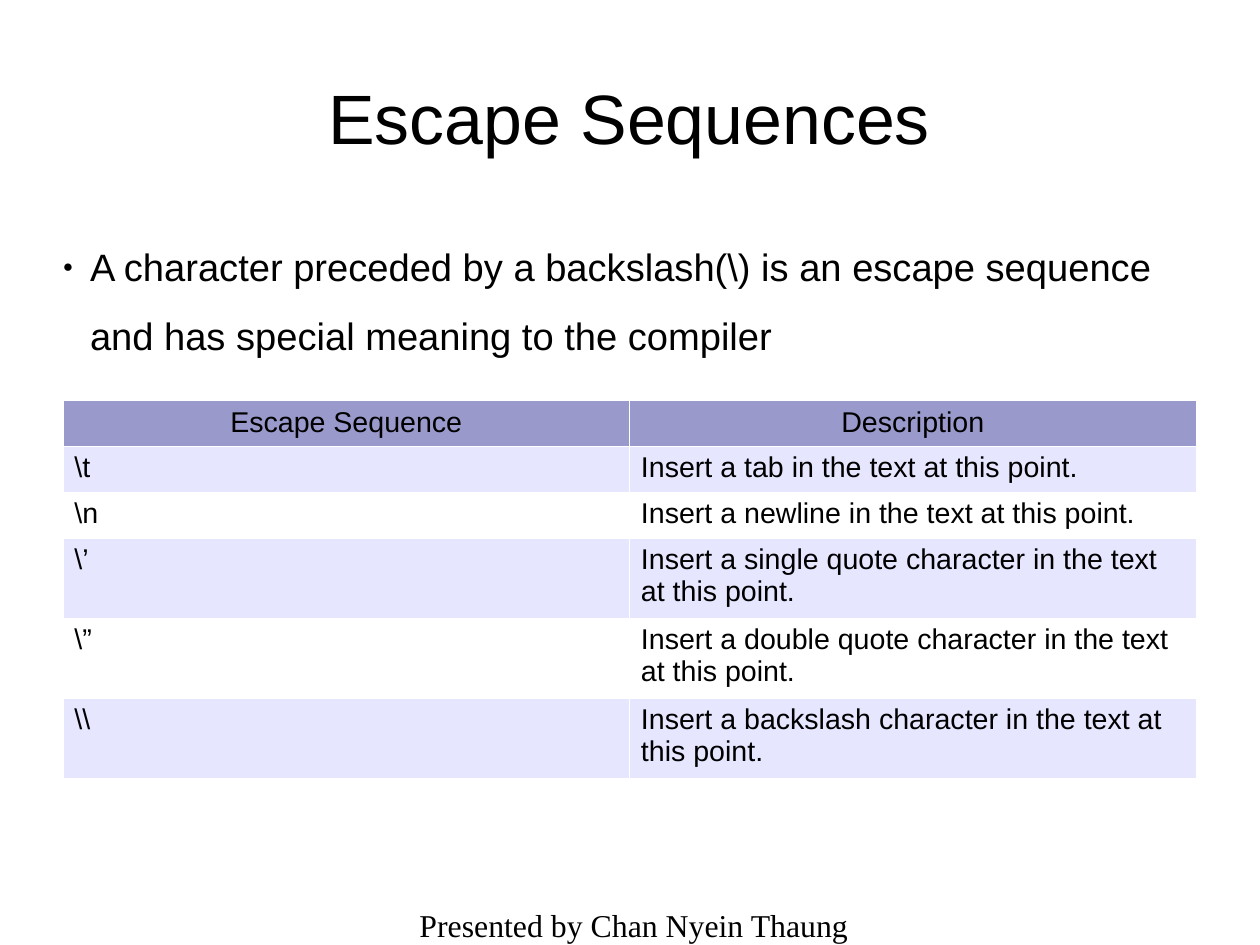
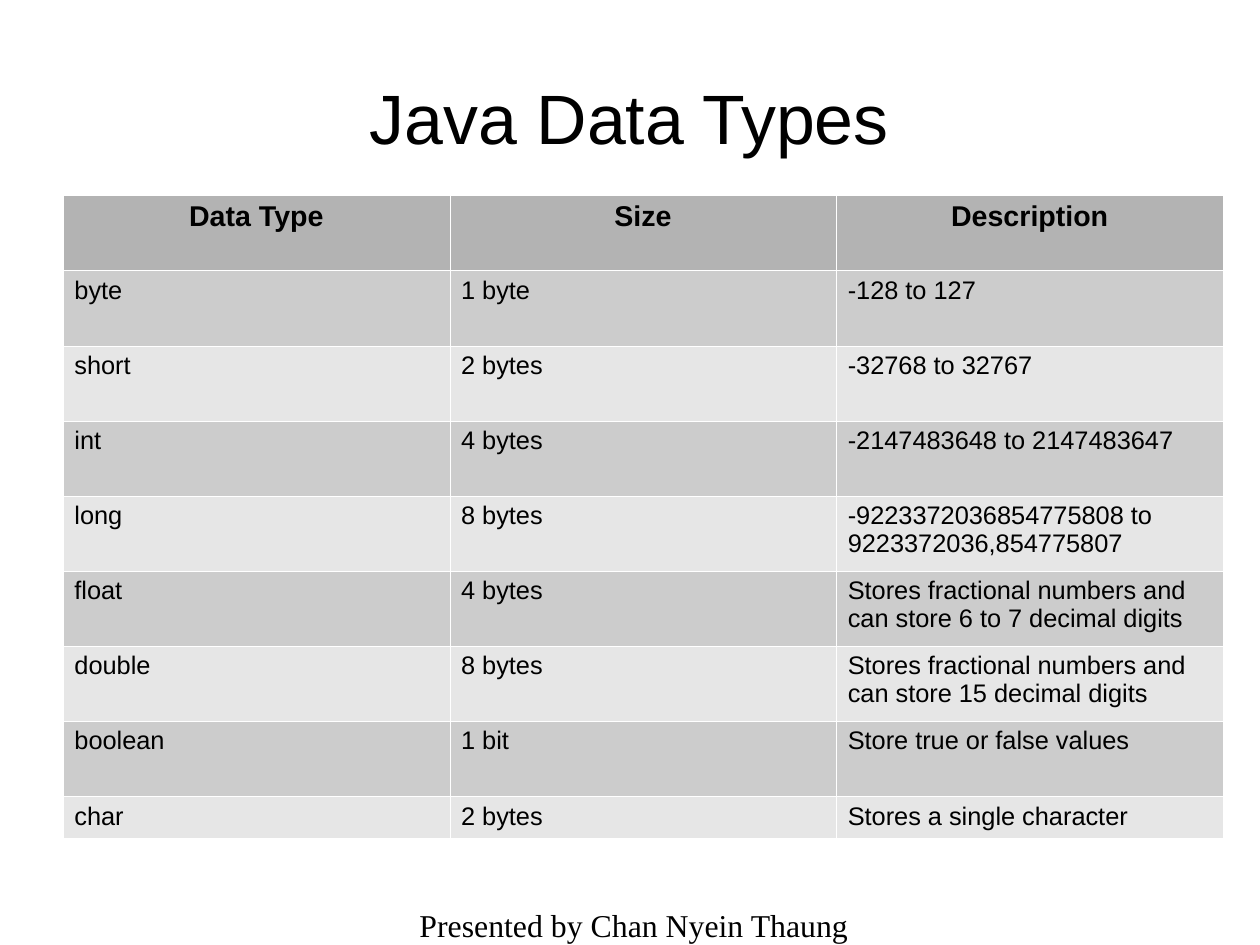
from lxml import etree
from pptx import Presentation
from pptx.dml.color import RGBColor
from pptx.enum.text import MSO_ANCHOR, MSO_AUTO_SIZE, PP_ALIGN
from pptx.oxml.ns import qn
from pptx.util import Cm, Pt

CENTER, LEFT = PP_ALIGN.CENTER, PP_ALIGN.LEFT
MIDDLE, TOP = MSO_ANCHOR.MIDDLE, MSO_ANCHOR.TOP
NO_AUTOFIT = MSO_AUTO_SIZE.NONE

BLACK = RGBColor(0x00, 0x00, 0x00)
WHITE = RGBColor(0xFF, 0xFF, 0xFF)
VIOLET = RGBColor(0x99, 0x99, 0xCC)
LAVENDER = RGBColor(0xE6, 0xE6, 0xFF)
DARK_GREY = RGBColor(0xB3, 0xB3, 0xB3)
MID_GREY = RGBColor(0xCC, 0xCC, 0xCC)
LIGHT_GREY = RGBColor(0xE6, 0xE6, 0xE6)

FONT, FOOTER_FONT = "Arial", "Times New Roman"
FOOTER = " Presented by Chan Nyein Thaung"
PAGE_W, PAGE_H = 28, 21
MARGIN, CONTENT_W = 1.4, 25.18
TITLE_AND_BODY, TITLE_ONLY = 1, 5

ESCAPES = [
    ("Escape Sequence", "Description"),
    ("\\t", "Insert a tab in the text at this point."),
    ("\\n", "Insert a newline in the text at this point."),
    ("\\’", "Insert a single quote character in the text at this point."),
    ("\\”", "Insert a double quote character in the text at this point."),
    ("\\\\", "Insert a backslash character in the text at this point."),
]
DATA_TYPES = [
    ("Data Type", "Size", "Description"),
    ("byte", "1 byte", "-128 to 127"),
    ("short", "2 bytes", "-32768 to 32767"),
    ("int", "4 bytes", "-2147483648 to 2147483647"),
    ("long", "8 bytes", "-9223372036854775808 to 9223372036,854775807"),
    ("float", "4 bytes",
     "Stores fractional numbers and can store 6 to 7 decimal digits"),
    ("double", "8 bytes",
     "Stores fractional numbers and can store 15 decimal digits"),
    ("boolean", "1 bit", "Store true or false values"),
    ("char", "2 bytes", "Stores a single character"),
]


class Deck:
    """Holds the shared style and the slide being built."""

    def __init__(self):
        self.prs = Presentation()
        self.prs.slide_width, self.prs.slide_height = Cm(PAGE_W), Cm(PAGE_H)
        self.slide = None

    def new_slide(self, layout, title):
        """Start a slide with its title and footer."""
        self.slide = self.prs.slides.add_slide(self.prs.slide_layouts[layout])
        heading = self.slide.shapes.title
        self.place(heading, 0.85, 3.48, MIDDLE)
        heading.text_frame.text = title
        self.style(heading.text_frame.paragraphs[0], 44, CENTER)
        self.footer()

    def place(self, placeholder, top, height, anchor):
        """Move a placeholder to the content column and drop its insets."""
        placeholder.left, placeholder.top = Cm(MARGIN), Cm(top)
        placeholder.width, placeholder.height = Cm(CONTENT_W), Cm(height)
        frame = placeholder.text_frame
        frame.margin_left = frame.margin_right = 0
        frame.margin_top = frame.margin_bottom = 0
        frame.vertical_anchor = anchor
        frame.word_wrap = True
        frame.auto_size = NO_AUTOFIT

    def style(self, paragraph, size, align=LEFT, font=FONT, bold=False):
        paragraph.alignment = align
        for run in paragraph.runs:
            run.font.name, run.font.size = font, Pt(size)
            run.font.bold = bold
            run.font.color.rgb = BLACK

    def footer(self):
        height = 1
        box = self.slide.shapes.add_textbox(
            0, Cm(PAGE_H - height), Cm(PAGE_W), Cm(height))
        box.text_frame.word_wrap = True
        box.text_frame.text = FOOTER
        self.style(box.text_frame.paragraphs[0], 20, CENTER, FOOTER_FONT)

    def bullet(self, text):
        """Fill the body placeholder with one bulleted paragraph."""
        body = self.slide.placeholders[1]
        self.place(body, 4.9, 12.17, TOP)
        body.text_frame.text = text
        paragraph = body.text_frame.paragraphs[0]
        self.style(paragraph, 24)
        paragraph.line_spacing = 1.5
        paragraph.space_before = paragraph.space_after = Pt(5.7)
        props = paragraph.runs[0].font and paragraph._p.get_or_add_pPr()
        props.set("marL", str(Cm(0.6)))
        props.set("indent", str(-Cm(0.6)))
        color = etree.SubElement(props, qn("a:buClr"))
        etree.SubElement(color, qn("a:srgbClr"), val=str(BLACK))
        etree.SubElement(props, qn("a:buSzPct"), val="45000")
        etree.SubElement(props, qn("a:buFont"), typeface=FONT)
        etree.SubElement(props, qn("a:buChar"), char="●")

    def border(self, cell):
        """Draw thin white rules on all sides; call before filling the cell."""
        props = cell._tc.get_or_add_tcPr()
        for side in ("a:lnL", "a:lnR", "a:lnT", "a:lnB"):
            line = etree.SubElement(props, qn(side), w=str(Pt(0.06)))
            fill = etree.SubElement(line, qn("a:solidFill"))
            etree.SubElement(fill, qn("a:srgbClr"), val=str(WHITE))

    def table(self, rows, top, width, heights, header_fill, bands,
              size, header_bold):
        """Add a table with a header row and two alternating row fills."""
        columns = len(rows[0])
        table = self.slide.shapes.add_table(
            len(rows), columns, Cm(MARGIN), Cm(top),
            Cm(width), Cm(sum(heights))).table
        table.first_row = table.horz_banding = False
        for column in table.columns:
            column.width = Cm(width / columns)
        for r, (values, height) in enumerate(zip(rows, heights)):
            header = r == 0
            table.rows[r].height = Cm(height)
            for c, value in enumerate(values):
                cell = table.cell(r, c)
                self.border(cell)
                cell.fill.solid()
                cell.fill.fore_color.rgb = (
                    header_fill if header else bands[(r - 1) % 2])
                cell.text_frame.text = value
                self.style(cell.text_frame.paragraphs[0],
                           18 if header else size,
                           CENTER if header else LEFT,
                           bold=header and header_bold)


def main():
    deck = Deck()

    # Escape sequences
    deck.new_slide(TITLE_AND_BODY, "Escape Sequences")
    deck.bullet("A character preceded by a backslash(\\) is an escape "
                "sequence and has special meaning to the compiler")
    deck.table(ESCAPES, 8.9, CONTENT_W, [0.97] * 3 + [1.68] * 3,
               VIOLET, (LAVENDER, WHITE), 18, False)

    # Data types
    deck.new_slide(TITLE_ONLY, "Java Data Types")
    deck.table(DATA_TYPES, 4.34, 25.78, [1.67] * 8 + [0.9],
               DARK_GREY, (MID_GREY, LIGHT_GREY), 16, True)

    deck.prs.save("out.pptx")


if __name__ == "__main__":
    main()
